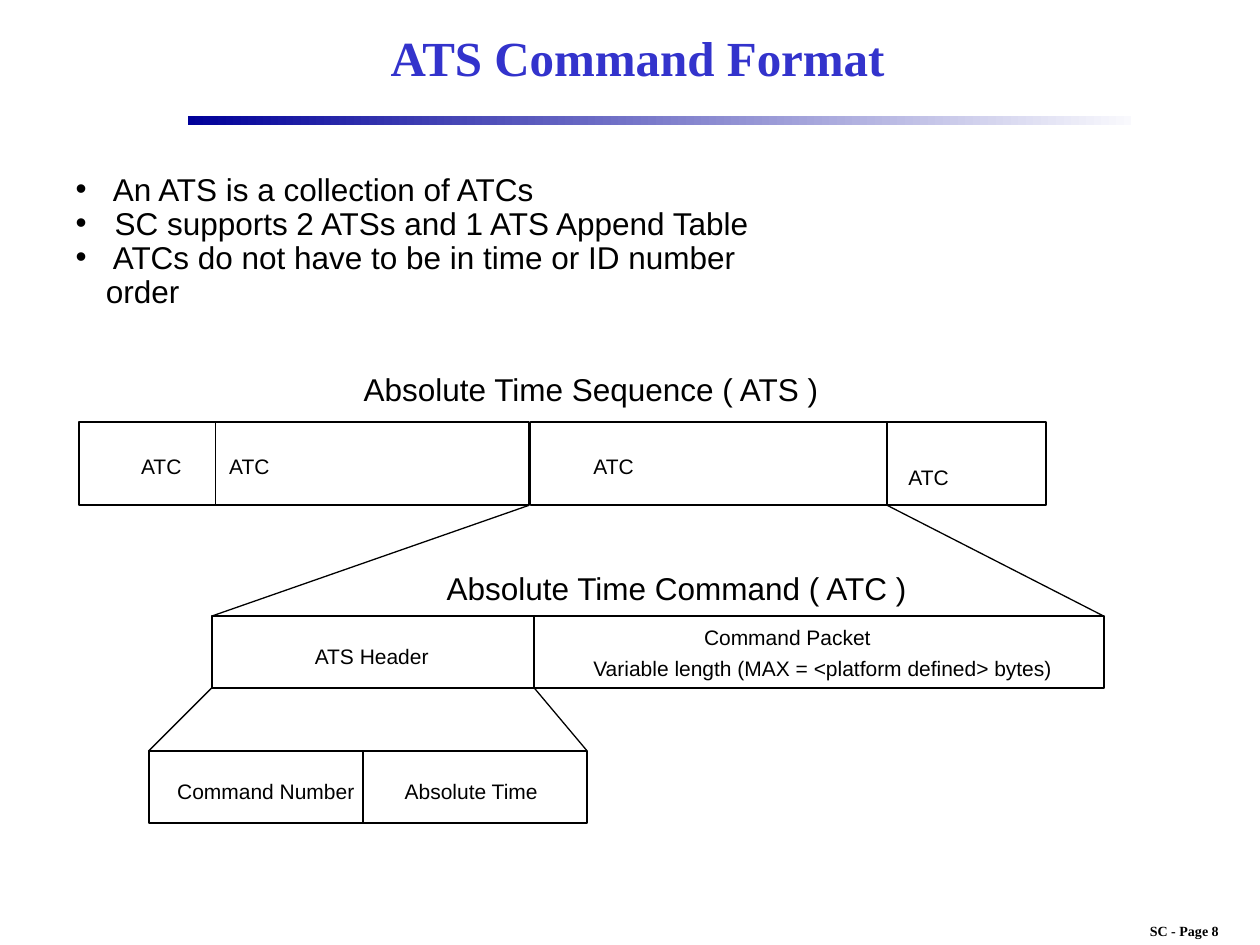
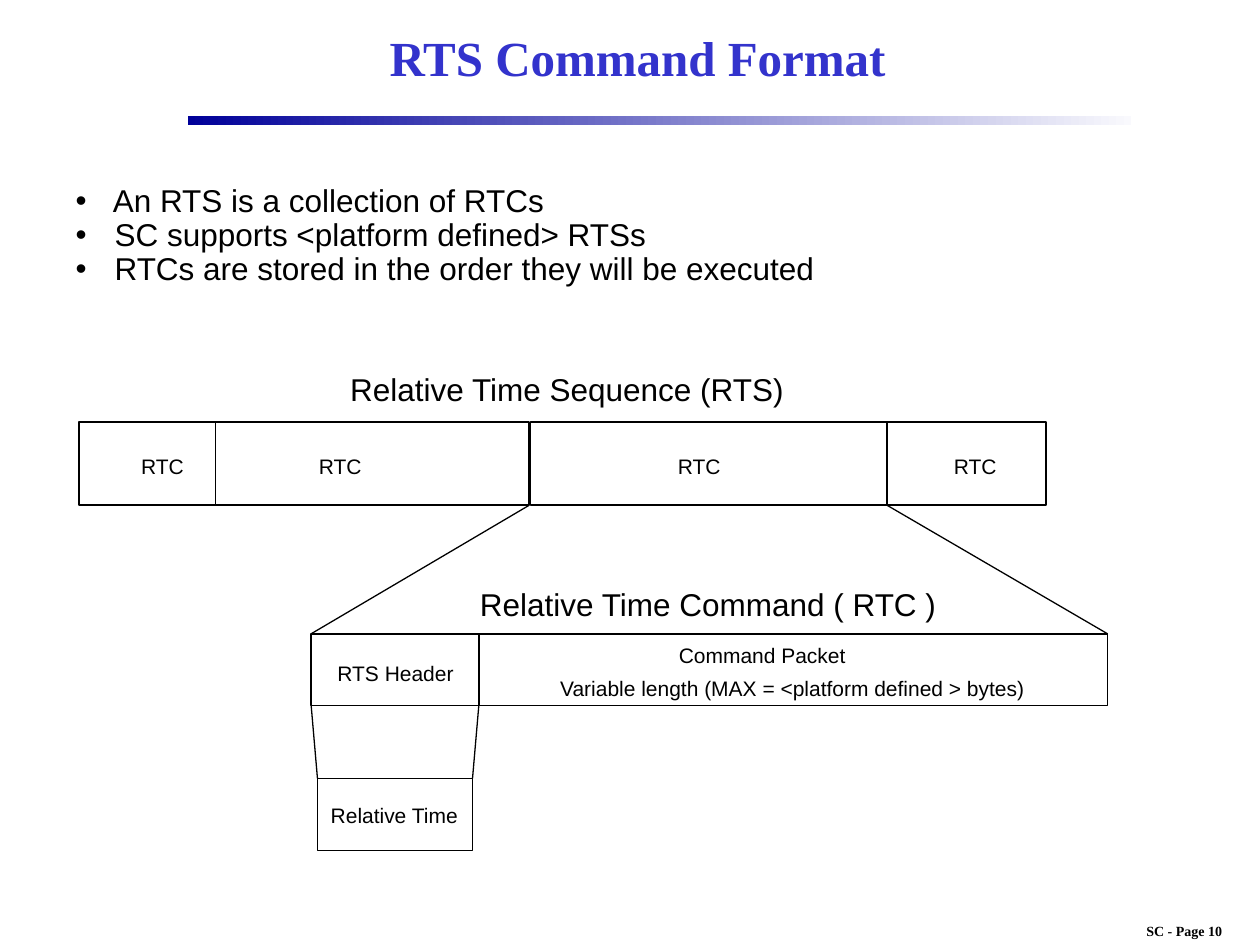
"""Build the two slides on the ATS and RTS command formats."""
from lxml.etree import SubElement
from pptx import Presentation
from pptx.dml.color import RGBColor
from pptx.enum.shapes import MSO_CONNECTOR as Connector, MSO_SHAPE as Preset
from pptx.enum.text import MSO_ANCHOR as Anchor, MSO_AUTO_SIZE as AutoSize, PP_ALIGN as Align
from pptx.oxml.ns import qn
from pptx.util import Inches, Pt

BLACK = RGBColor(0x00, 0x00, 0x00)
TITLE_BLUE = RGBColor(0x33, 0x33, 0xCC)
BAND_START = RGBColor(0x00, 0x00, 0x99)
BAND_END = RGBColor(0xF9, 0xF9, 0xFD)

TITLE_FONT = {"name": "Times New Roman", "size": Pt(28), "bold": True}
FOOTER_FONT = {"name": "Times New Roman", "size": Pt(8), "bold": True}
BODY_FONT = {"name": "Arial", "size": Pt(18)}
LABEL_FONT = {"name": "Arial", "size": Pt(12)}
BODY_PARAGRAPH = {"line_spacing": 0.9, "space_before": Pt(0), "alignment": Align.LEFT}
LABEL_MARGINS = {"margin_left": Inches(0.05), "margin_right": Inches(0.05),
                 "margin_top": Inches(0.02), "margin_bottom": Inches(0.02)}
ONE_LINE_FRAME = {"word_wrap": False, "auto_size": AutoSize.SHAPE_TO_FIT_TEXT}
BODY_FRAME = {"vertical_anchor": Anchor.TOP, "auto_size": AutoSize.NONE, "word_wrap": True}

TITLE_BOX = (1.53, 0.08, 7.06, 0.75)
BAND_BOX = (1.49, 0.92, 7.49, 0.07)
FOOTER_BOX = (8.8, 7.27, 1.2, 0.23)
BULLET_INDENT = 0.24

SEQUENCE_BARS = [(0.63, 3.35, 3.57, 0.66), (4.21, 3.35, 4.09, 0.66)]
SEQUENCE_DIVIDERS = [1.71, 7.04]
ZOOMED_COMMAND = (4.2, 7.04)

# Captions and labels: text, centre, top, width
SLIDES = [
    {
        "title": "ATS Command Format",
        "footer": "SC - Page 8",
        "bullets_box": (0.5, 1.33, 6.02, 1.18),
        "bullets": [" An ATS is a collection of ATCs",
                    " SC supports 2 ATSs and 1 ATS Append Table",
                    " ATCs do not have to be in time or ID number order"],
        "captions": [("Absolute Time Sequence ( ATS )", 4.69, 2.92, 3.8),
                     ("Absolute Time Command ( ATC )", 5.37, 4.5, 3.9)],
        "labels": [("ATC", 1.28, 3.58, 0.46), ("ATC", 1.98, 3.58, 0.46),
                   ("ATC", 4.87, 3.58, 0.46), ("ATC", 7.37, 3.67, 0.46),
                   ("ATS Header", 2.95, 5.09, 1.12),
                   ("Command Packet", 6.25, 4.94, 1.5),
                   ("Variable length (MAX = <platform defined> bytes)", 6.53, 5.18, 3.85),
                   ("Command Number", 2.11, 6.16, 1.55),
                   ("Absolute Time", 3.74, 6.16, 1.23)],
        "command_bar": (1.68, 4.89, 7.08, 0.57),
        "header_end": 4.24,
        "header_bar": (1.18, 5.96, 3.48, 0.57),
        "header_dividers": [2.88],
    },
    {
        "title": "RTS Command Format",
        "footer": "SC - Page 10",
        "bullets_box": (0.5, 1.42, 6.25, 0.91),
        "bullets": [" An RTS is a collection of RTCs",
                    " SC supports <platform defined> RTSs",
                    " RTCs are stored in the order they will be executed"],
        "captions": [("Relative Time Sequence (RTS)", 4.5, 2.92, 3.6),
                     ("Relative Time Command ( RTC )", 5.62, 4.62, 3.84)],
        "labels": [("RTC", 1.29, 3.58, 0.46), ("RTC", 2.7, 3.58, 0.46),
                   ("RTC", 5.55, 3.58, 0.46), ("RTC", 7.74, 3.58, 0.46),
                   ("RTS Header", 3.14, 5.22, 1.06),
                   ("Command Packet", 6.05, 5.08, 1.5),
                   ("Variable length (MAX = <platform defined > bytes)", 6.29, 5.34, 3.85),
                   ("Relative Time", 3.13, 6.35, 1.23)],
        "command_bar": (2.47, 5.03, 6.32, 0.57),
        "header_end": 3.8,
        "header_bar": (2.52, 6.18, 1.23, 0.57),
        "header_dividers": [],
    },
]


def inches(lengths):
    return [Inches(length) for length in lengths]


def apply(target, values):
    for name, value in values.items():
        setattr(target, name, value)


def place(placeholder, box):
    apply(placeholder, dict(zip(("left", "top", "width", "height"), inches(box))))


def write(paragraph, text, font, color=BLACK):
    run = paragraph.add_run()
    run.text = text
    apply(run.font, font)
    run.font.color.rgb = color


def add_centred(slide, text, box, font, margins):
    frame = slide.shapes.add_textbox(*inches(box)).text_frame
    apply(frame, {**ONE_LINE_FRAME, **margins})
    frame.paragraphs[0].alignment = Align.CENTER
    write(frame.paragraphs[0], text, font)


def add_label(slide, text, centre, top, width, font):
    height = 0.04 + font["size"].pt / 60
    box = (centre - width / 2, top, width, height)
    add_centred(slide, text, box, font, LABEL_MARGINS)


def add_rule(slide, start, end, weight):
    rule = slide.shapes.add_connector(Connector.STRAIGHT, *inches(start + end))
    rule.line.color.rgb = BLACK
    rule.line.width = Pt(weight)
    SubElement(rule._element.spPr, qn("a:effectLst"))


def add_bar(slide, box, dividers=()):
    bar = slide.shapes.add_shape(Preset.RECTANGLE, *inches(box))
    bar.shadow.inherit = False
    bar.fill.background()
    bar.line.color.rgb = BLACK
    bar.line.width = Pt(1)
    _, top, _, height = box
    for x in dividers:
        add_rule(slide, (x, top), (x, top + height), 1)


def add_zoom(slide, part, upper, lower):
    bottom = upper[1] + upper[3]
    left, top, width, _ = lower
    for start, end in zip(part, (left, left + width)):
        add_rule(slide, (start, bottom), (end, top), 0.75)


def add_frame(slide, title, footer):
    place(slide.shapes.title, TITLE_BOX)
    heading = slide.shapes.title.text_frame
    apply(heading, {"vertical_anchor": Anchor.MIDDLE, "auto_size": AutoSize.NONE})
    heading.paragraphs[0].alignment = Align.CENTER
    write(heading.paragraphs[0], title, TITLE_FONT, TITLE_BLUE)

    band = slide.shapes.add_shape(Preset.RECTANGLE, *inches(BAND_BOX))
    band.shadow.inherit = False
    band.line.fill.background()
    band.fill.gradient()
    band.fill.gradient_angle = 0
    for stop, color in zip(band.fill.gradient_stops, (BAND_START, BAND_END)):
        stop.color.rgb = color
    add_centred(slide, footer, FOOTER_BOX, FOOTER_FONT, {})


def add_bullets(slide, bullets, box):
    body = slide.placeholders[1]
    place(body, box)
    frame = body.text_frame
    apply(frame, BODY_FRAME)
    for index, bullet in enumerate(bullets):
        paragraph = frame.add_paragraph() if index else frame.paragraphs[0]
        apply(paragraph, BODY_PARAGRAPH)
        properties = paragraph._p.get_or_add_pPr()
        properties.set("marL", str(Inches(BULLET_INDENT)))
        properties.set("indent", str(-Inches(BULLET_INDENT)))
        SubElement(properties, qn("a:buChar"), char="•")
        write(paragraph, bullet, BODY_FONT)


def add_diagram(slide, content):
    command, header = content["command_bar"], content["header_bar"]
    for bar, divider in zip(SEQUENCE_BARS, SEQUENCE_DIVIDERS):
        add_bar(slide, bar, [divider])
    add_bar(slide, command, [content["header_end"]])
    add_bar(slide, header, content["header_dividers"])
    add_zoom(slide, ZOOMED_COMMAND, SEQUENCE_BARS[1], command)
    add_zoom(slide, (command[0], content["header_end"]), command, header)
    for key, font in (("captions", BODY_FONT), ("labels", LABEL_FONT)):
        for text, centre, top, width in content[key]:
            add_label(slide, text, centre, top, width, font)


def main():
    deck = Presentation()
    deck.slide_width, deck.slide_height = Inches(10), Inches(7.5)
    for content in SLIDES:
        slide = deck.slides.add_slide(deck.slide_layouts[1])
        add_frame(slide, content["title"], content["footer"])
        add_bullets(slide, content["bullets"], content["bullets_box"])
        add_diagram(slide, content)
    deck.save("out.pptx")


if __name__ == "__main__":
    main()
